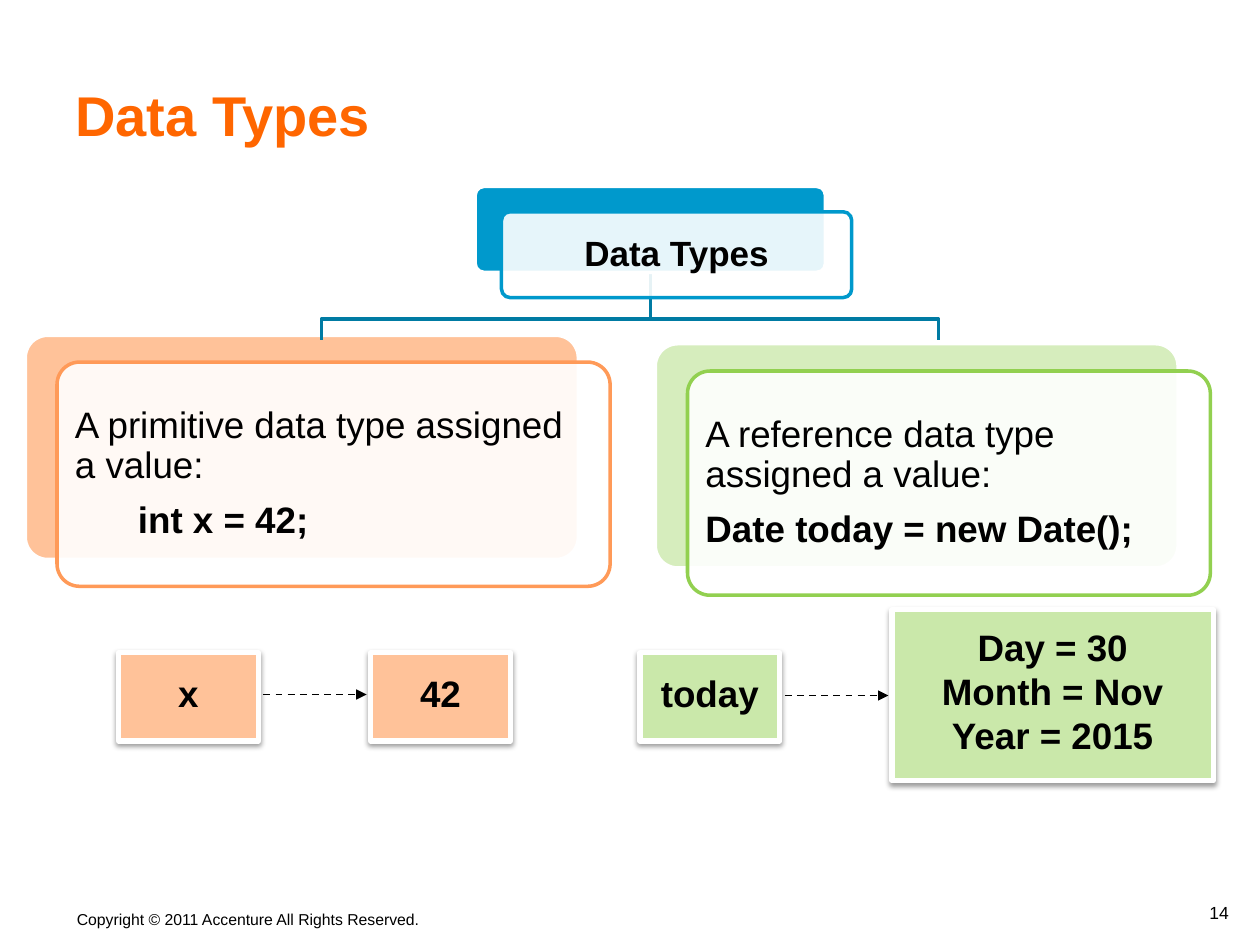
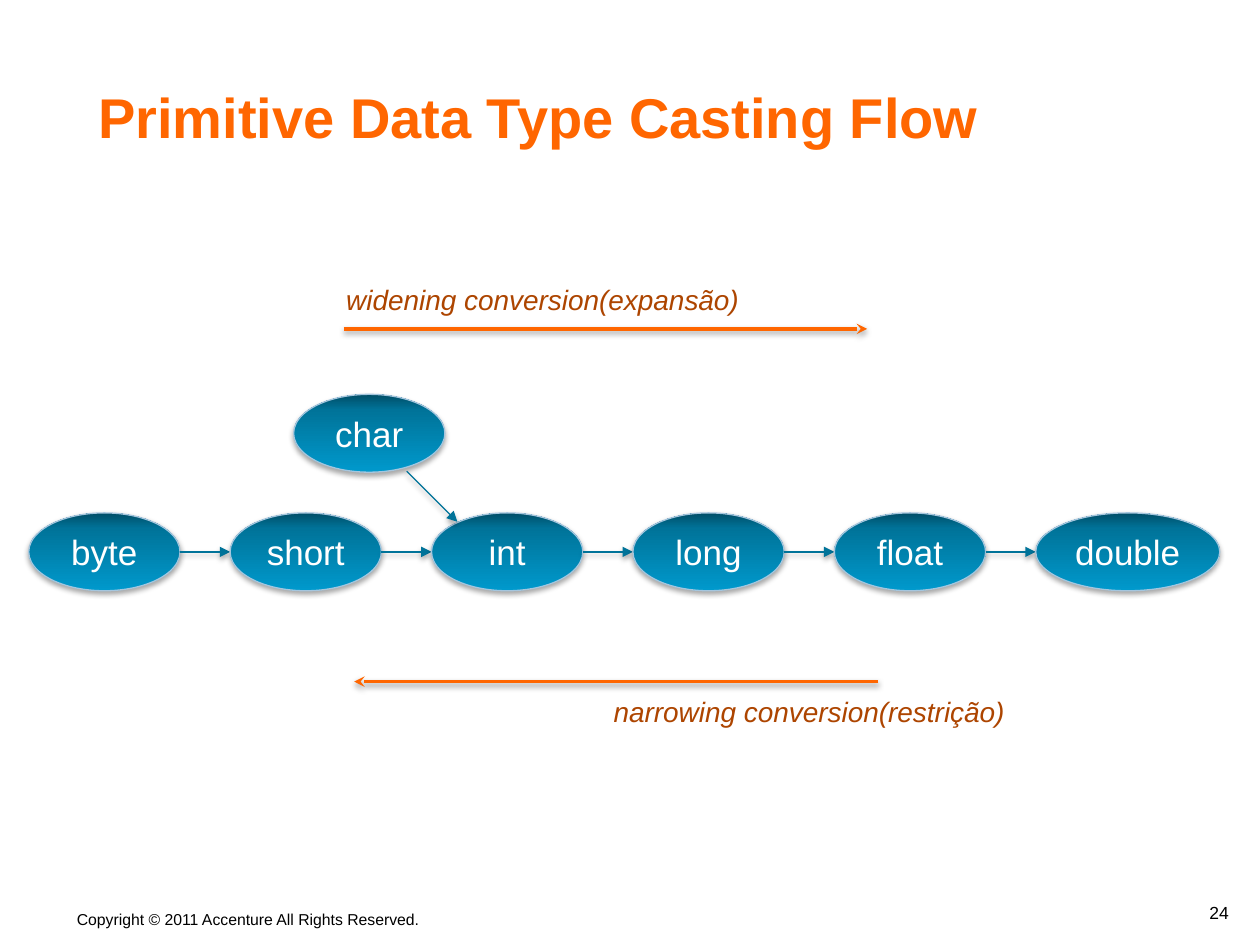
from copy import deepcopy
from typing import NamedTuple, Optional

from lxml.etree import SubElement
from pptx import Presentation
from pptx.dml.color import RGBColor
from pptx.enum.dml import MSO_LINE
from pptx.enum.shapes import MSO_CONNECTOR, MSO_SHAPE as Preset
from pptx.enum.text import MSO_ANCHOR as Anchor, PP_ALIGN as Align
from pptx.oxml.ns import qn
from pptx.util import Cm, Pt

FONT = "Arial"
BLACK, WHITE = "000000", "FFFFFF"
ORANGE, BROWN = "FF6600", "AD4500"
PEACH, PEACH_EDGE = "FFC299", "FF9A58"
LIME, PALE_LIME, LIME_EDGE = "CAE8AA", "D6EDBD", "92D050"
BLUE, BRANCH_BLUE, FLOW_BLUE, OVAL_EDGE = "0099CC", "007BA3", "007399", "A5C6DE"
OVAL_GRADIENT = ((0, BLUE), (0.8, FLOW_BLUE), (1, "004D66"))


class Box(NamedTuple):
    left: float
    top: float
    width: float
    height: float


class Shadow(NamedTuple):
    opacity: int
    distance: float


class Card(NamedTuple):
    """A rounded white card lying on a coloured one, shifted by offset."""
    back: Box
    offset: tuple[float, float]
    fill: str
    edge: str
    text: str
    text_format: dict


class ValueBox(NamedTuple):
    box: Box
    fill: str
    text: str


class Arrow(NamedTuple):
    start: tuple[float, float]
    end: tuple[float, float]


class Conversion(NamedTuple):
    label: str
    label_box: Box
    arrow: Arrow


BOX_SHADOW = Shadow(38, 1.6)
OVAL_SHADOW = Shadow(35, 1.8)

CARD_TEXT = dict(size=21, bold_last=True)
ROOT_CARD = Card(Box(9.58, 3.76, 7.06, 1.73), (0.53, 0.51), BLUE, BLUE, "Data Types",
                 dict(size=20, bold=True, align=Align.CENTER))
TYPE_CARDS = (
    Card(Box(0.51, 6.76, 11.15, 4.52), (0.64, 0.54), PEACH, PEACH_EDGE,
         "A primitive data type assigned a value:\n\tint x = 42;", CARD_TEXT),
    Card(Box(13.21, 6.93, 10.54, 4.52), (0.65, 0.55), PALE_LIME, LIME_EDGE,
         "A reference data type assigned a value:\nDate today = new Date();", CARD_TEXT),
)
BRANCH_ENDS = (18.92, 6.48)
VALUE_BOXES = (
    ValueBox(Box(12.9, 13.16, 2.82, 1.78), LIME, "today"),
    ValueBox(Box(17.98, 12.29, 6.48, 3.45), LIME, "Day = 30\nMonth = Nov\nYear = 2015"),
    ValueBox(Box(2.39, 13.16, 2.82, 1.78), PEACH, "x"),
    ValueBox(Box(7.47, 13.16, 2.82, 1.78), PEACH, "42"),
)
VALUE_ARROWS = (Arrow((15.82, 14.02), (17.91, 14.02)), Arrow((5.31, 14), (7.39, 14)))

FLOW_TYPES = ("byte", "short", "int", "long", "float", "double")
FLOW_LEFT, FLOW_TOP, FLOW_STEP = 0.58, 10.34, 4.06
OVAL_WIDTH, WIDE_OVAL_WIDTH, OVAL_HEIGHT = 3.05, 3.71, 1.57
CHAR_BOX = Box(5.92, 7.95, OVAL_WIDTH, OVAL_HEIGHT)
CHAR_ARROW = Arrow((8.2, 9.5), (9.22, 10.52))
CONVERSIONS = (
    Conversion("widening conversion(expansão)", Box(6.73, 5.56, 10.34, 0.97),
               Arrow((6.93, 6.63), (17.48, 6.63))),
    Conversion("narrowing conversion(restrição)", Box(12.12, 13.87, 10.24, 0.86),
               Arrow((17.7, 13.74), (7.14, 13.74))),
)


def rgb(color: str) -> RGBColor:
    return RGBColor.from_string(color)


def write(shape, text: str, *, size: float, color: str = BLACK, bold: bool = False,
          bold_last: bool = False, italic: bool = False, align=Align.LEFT,
          anchor=Anchor.TOP, line_spacing: float = 1.0, space_before: float = 0,
          space_after: float = 0, inset: tuple[float, float] = (0.25, 0.13),
          wrap: bool = True) -> None:
    """Fill the shape with one paragraph for each line of the text."""
    frame = shape.text_frame
    frame.word_wrap = wrap
    frame.vertical_anchor = anchor
    frame.margin_left = frame.margin_right = Cm(inset[0])
    frame.margin_top = frame.margin_bottom = Cm(inset[1])
    lines = text.split("\n")
    for index, line in enumerate(lines):
        paragraph = frame.add_paragraph() if index else frame.paragraphs[0]
        paragraph.alignment = align
        paragraph.line_spacing = line_spacing
        paragraph.space_before = Pt(space_before if index else 0)
        paragraph.space_after = Pt(space_after)
        run = paragraph.add_run()
        run.text = line
        font = run.font
        font.name, font.size, font.italic = FONT, Pt(size), italic
        font.bold = bold or (bold_last and index == len(lines) - 1)
        font.color.rgb = rgb(color)


def set_shadow(shape, shadow: Optional[Shadow]) -> None:
    """Replace the theme shadow by the given one, or by none."""
    properties = shape._element.spPr
    effects = properties.find(qn("a:effectLst"))
    if effects is None:
        effects = SubElement(properties, qn("a:effectLst"))
    if shadow:
        outer = SubElement(effects, qn("a:outerShdw"), blurRad=str(Pt(3.1)),
                           dist=str(Pt(shadow.distance)), dir="5400000", rotWithShape="0")
        tint = SubElement(outer, qn("a:srgbClr"), val=BLACK)
        SubElement(tint, qn("a:alpha"), val=str(shadow.opacity * 1000))


def set_line(shape, color: str, width: float) -> None:
    shape.line.color.rgb = rgb(color)
    shape.line.width = Pt(width)


def add_text(slide, box: Box, text: str, **text_format) -> None:
    write(slide.shapes.add_textbox(*map(Cm, box)), text, **text_format)


def add_shape(slide, preset, box: Box, fill: str, edge: str, edge_width: float,
              shadow: Optional[Shadow] = None, opacity: int = 100):
    shape = slide.shapes.add_shape(preset, *map(Cm, box))
    shape.fill.solid()
    shape.fill.fore_color.rgb = rgb(fill)
    if opacity < 100:
        tint = shape._element.spPr.find(f"{qn('a:solidFill')}/{qn('a:srgbClr')}")
        SubElement(tint, qn("a:alpha"), val=str(opacity * 1000))
    set_line(shape, edge, edge_width)
    shape.shadow.inherit = False
    set_shadow(shape, shadow)
    return shape


def add_arrow(slide, arrow: Arrow, color: str, width: float, head: str = "triangle",
              shadow: Optional[Shadow] = None, dashed: bool = False) -> None:
    connector = slide.shapes.add_connector(
        MSO_CONNECTOR.STRAIGHT, *map(Cm, arrow.start + arrow.end))
    set_line(connector, color, width)
    if dashed:
        connector.line.dash_style = MSO_LINE.DASH
    SubElement(connector._element.spPr.find(qn("a:ln")), qn("a:tailEnd"), type=head)
    set_shadow(connector, shadow)


def add_card(slide, card: Card) -> None:
    left, top, width, height = card.back
    front = Box(left + card.offset[0], top + card.offset[1], width, height)
    lower = add_shape(slide, Preset.ROUNDED_RECTANGLE, card.back, card.fill, WHITE, 2)
    upper = add_shape(slide, Preset.ROUNDED_RECTANGLE, front, WHITE, card.edge, 2, opacity=90)
    for shape in (lower, upper):
        shape.adjustments[0] = 0.1
    write(upper, card.text, anchor=Anchor.MIDDLE, line_spacing=0.9, space_after=8.5,
          inset=(0.23, 0.23), **card.text_format)


def add_branch(slide, end_x: float) -> None:
    """Draw the bent line from the root card down to one type card."""
    trunk_x, root_y, bend_y, end_y = 13.11, 5.49, 6.43, 6.86
    builder = slide.shapes.build_freeform(Cm(trunk_x), Cm(root_y))
    corners = ((trunk_x, bend_y), (end_x, bend_y), (end_x, end_y))
    builder.add_line_segments([(Cm(x), Cm(y)) for x, y in corners], close=False)
    branch = builder.convert_to_shape()
    branch.fill.background()
    set_line(branch, BRANCH_BLUE, 2)
    branch.shadow.inherit = False


def add_oval(slide, box: Box, type_name: str) -> None:
    oval = add_shape(slide, Preset.OVAL, box, BLUE, OVAL_EDGE, 0.75, OVAL_SHADOW)
    oval.fill.gradient()
    oval.fill.gradient_angle = 90
    stop_list = oval._element.spPr.find(f"{qn('a:gradFill')}/{qn('a:gsLst')}")
    stop_list.append(deepcopy(stop_list[0]))
    for stop, (position, color) in zip(oval.fill.gradient_stops, OVAL_GRADIENT):
        stop.position = position
        stop.color.rgb = rgb(color)
    write(oval, type_name, size=20, color=WHITE, align=Align.CENTER,
          anchor=Anchor.MIDDLE, wrap=False)


def add_slide(deck, title: str, title_box: Box, number: int):
    """Add a blank slide with its title, copyright line and page number."""
    slide = deck.slides.add_slide(deck.slide_layouts[6])
    add_text(slide, Box(1.3, 18.21, 7.54, 0.64),
             "Copyright © 2011 Accenture All Rights Reserved.", size=9, wrap=False)
    add_text(slide, Box(20.32, 17.98, 4.7, 0.76), str(number), size=10,
             align=Align.RIGHT, anchor=Anchor.BOTTOM, line_spacing=0.8)
    add_text(slide, title_box, title, size=32, color=ORANGE, bold=True, anchor=Anchor.BOTTOM)
    return slide


def build_data_types(deck) -> None:
    slide = add_slide(deck, "Data Types", Box(1.27, 0.56, 22.66, 2.54), 14)
    for value in VALUE_BOXES:
        shape = add_shape(slide, Preset.RECTANGLE, value.box, value.fill, WHITE, 3, BOX_SHADOW)
        write(shape, value.text, size=21, bold=True, align=Align.CENTER,
              anchor=Anchor.MIDDLE, line_spacing=0.8, space_before=5, wrap=False)
    for arrow in VALUE_ARROWS:
        add_arrow(slide, arrow, BLACK, 1, dashed=True)
    for card in TYPE_CARDS:
        add_card(slide, card)
    for end_x in BRANCH_ENDS:
        add_branch(slide, end_x)
    add_card(slide, ROOT_CARD)


def build_casting_flow(deck) -> None:
    slide = add_slide(deck, "Primitive Data Type Casting Flow",
                      Box(1.73, 0.1, 22.63, 3.05), 24)
    flow_y = FLOW_TOP + OVAL_HEIGHT / 2
    for index, type_name in enumerate(FLOW_TYPES):
        left = FLOW_LEFT + index * FLOW_STEP
        is_last = index == len(FLOW_TYPES) - 1
        width = WIDE_OVAL_WIDTH if is_last else OVAL_WIDTH
        add_oval(slide, Box(left, FLOW_TOP, width, OVAL_HEIGHT), type_name)
        if not is_last:
            add_arrow(slide, Arrow((left + width, flow_y), (left + FLOW_STEP, flow_y)),
                      FLOW_BLUE, 0.75, shadow=OVAL_SHADOW)
    add_oval(slide, CHAR_BOX, "char")
    add_arrow(slide, CHAR_ARROW, FLOW_BLUE, 0.75, shadow=OVAL_SHADOW)
    for conversion in CONVERSIONS:
        add_text(slide, conversion.label_box, conversion.label, size=16, color=BROWN, italic=True)
        add_arrow(slide, conversion.arrow, ORANGE, 2, head="stealth", shadow=BOX_SHADOW)


def main() -> None:
    deck = Presentation()
    deck.slide_width, deck.slide_height = Cm(25.4), Cm(19.05)
    build_data_types(deck)
    build_casting_flow(deck)
    deck.save("out.pptx")


if __name__ == "__main__":
    main()
